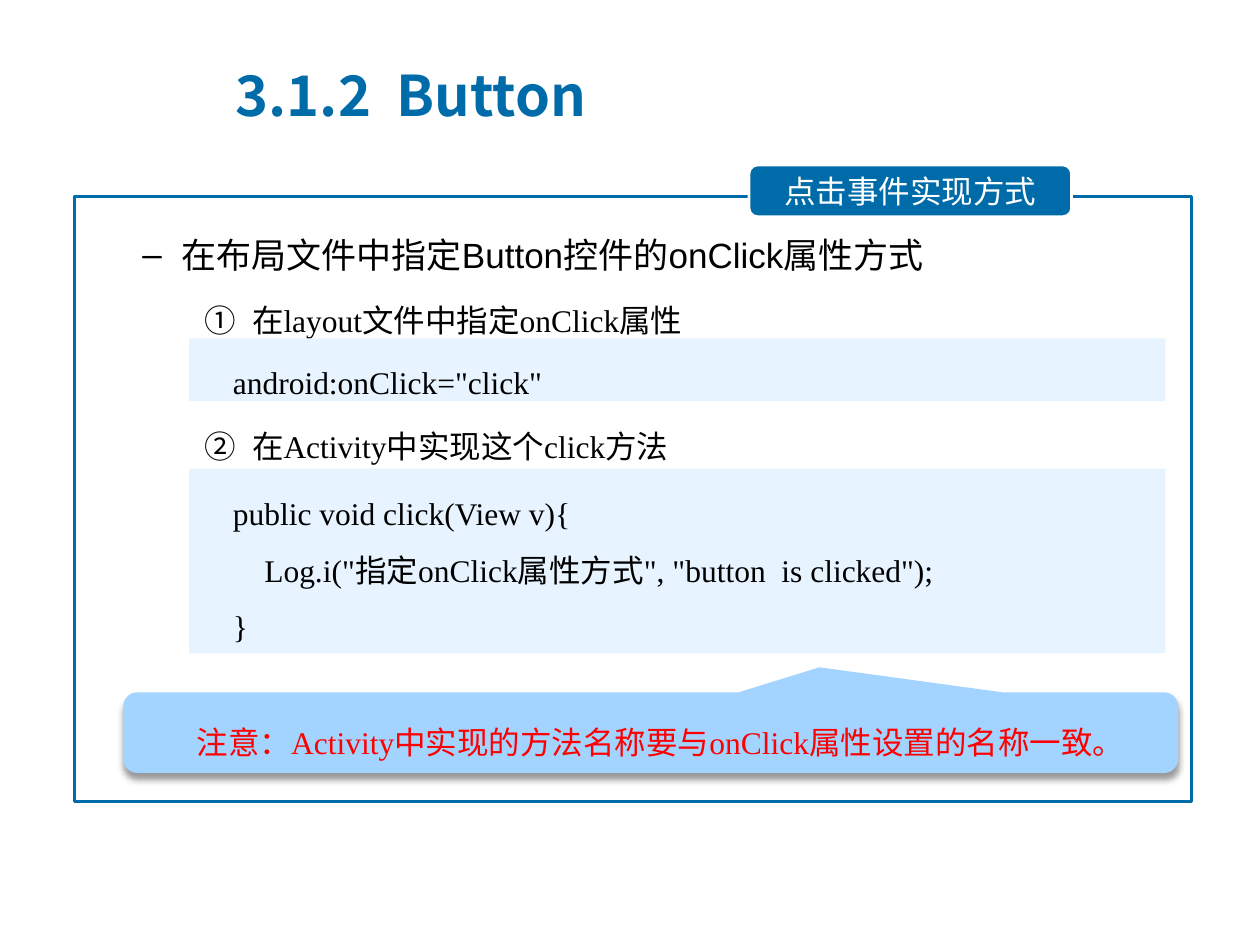
from dataclasses import dataclass

from lxml import etree
from pptx import Presentation, util as u
from pptx.dml.color import RGBColor
from pptx.enum import shapes, text
from pptx.oxml import ns

CELL = 0.25  # inches: the slide is a grid of 40 columns and 30 rows
KIND = shapes.MSO_SHAPE
TOP, MID = text.MSO_ANCHOR.TOP, text.MSO_ANCHOR.MIDDLE
LEFT, MIDST = text.PP_ALIGN.LEFT, text.PP_ALIGN.CENTER


@dataclass(frozen=True)
class Theme:
    blue: str = "006BA9"
    pale: str = "E7F4FF"
    sky: str = "A3D3FF"
    red: str = "FF0000"
    white: str = "FFFFFF"
    black: str = "000000"
    head: int = 32
    lead: int = 20
    base: int = 18
    sans: str = "Arial"
    serif: str = "Times New Roman"
    cjk: str = "Noto Sans CJK SC"


T = Theme()


def part(box, col, row, wide, high):
    """Return a box placed in grid cells from the corner of another."""
    return box[0] + col, box[1] + row, wide, high


def apply(obj, **vals):
    for key, val in vals.items():
        setattr(obj, key, val)


def place(shape, box):
    names = ("left", "top", "width", "height")
    apply(shape, **{n: u.Inches(v * CELL) for n, v in zip(names, box)})


def tag(parent, name, **atts):
    node = etree.SubElement(parent, ns.qn(name))
    for key, val in atts.items():
        node.set(key, str(val))
    return node


def write(para, words, size=T.base, face=T.serif, tint=T.black, bold=False):
    run = para.add_run()
    run.text = words
    apply(run.font, size=u.Pt(size), name=face, bold=bold)
    run.font.color.rgb = RGBColor.from_string(tint)
    tag(run.font._element, "a:ea", typeface=T.cjk)


def shape(slide, kind, box, fill=None, line=None):
    item = slide.shapes.add_shape(kind, 0, 0, 0, 0)
    place(item, box)
    item.shadow.inherit = False
    if fill:
        item.fill.solid()
        item.fill.fore_color.rgb = RGBColor.from_string(fill)
    else:
        item.fill.background()
    if line:
        item.line.color.rgb = RGBColor.from_string(line)
        item.line.width = u.Pt(1.5)
    else:
        item.line.fill.background()
    return item


def title(slide, box):
    item = slide.shapes.title
    place(item, box)
    apply(item.text_frame, vertical_anchor=MID, word_wrap=True,
          auto_size=text.MSO_AUTO_SIZE.NONE)
    para = item.text_frame.paragraphs[0]
    para.alignment = LEFT
    write(para, "3.1.2  Button", T.head, T.cjk, T.blue, True)


def point(para, level, left, hang, gap, bullet, **atts):
    """Give a list paragraph its level, indents, spacing and bullet."""
    apply(para, level=level, line_spacing=1.5, space_before=u.Pt(gap))
    props = para._p.get_or_add_pPr()
    props.set("marL", str(u.Inches(left)))
    props.set("indent", str(-u.Inches(hang)))
    tag(props, bullet, **atts)


def steps(slide, box):
    item = slide.placeholders[1]
    place(item, box)
    frame = item.text_frame
    apply(frame, word_wrap=True, vertical_anchor=TOP,
          auto_size=text.MSO_AUTO_SIZE.NONE)
    lead = frame.paragraphs[0]
    point(lead, 1, 0.81, 0.31, 0, "a:buChar", char="–")
    write(lead, "在布局文件中指定Button控件的onClick属性", T.lead, T.sans)
    write(lead, "方式", T.lead)
    rows = [("在layout文件中指定onClick属性", 4),
            ("在Activity中实现这个click方法", 39.5)]
    for num, (words, gap) in enumerate(rows, 1):
        para = frame.add_paragraph()
        point(para, 2, 1.37, 0.38, gap, "a:buAutoNum",
              type="circleNumDbPlain", startAt=num)
        write(para, words)


def code(slide, box, lines):
    frame = shape(slide, KIND.RECTANGLE, box, T.pale).text_frame
    apply(frame, vertical_anchor=TOP, word_wrap=True)
    for num, line in enumerate(lines):
        para = frame.add_paragraph() if num else frame.paragraphs[0]
        apply(para, alignment=LEFT, line_spacing=1.5)
        write(para, line)


def label(slide, box):
    item = shape(slide, KIND.ROUNDED_RECTANGLE, box, T.blue, T.white)
    frame = item.text_frame
    apply(frame, vertical_anchor=MID, word_wrap=True,
          margin_top=u.Inches(0.06), margin_bottom=u.Inches(0.06))
    para = frame.paragraphs[0]
    para.alignment = MIDST
    write(para, "点击事件实现方式", face=T.cjk, tint=T.white)


def note(slide, box):
    item = shape(slide, KIND.ROUNDED_RECTANGULAR_CALLOUT, box, T.sky)
    for num, val in enumerate((0.16, -0.81, 0.17)):
        item.adjustments[num] = val
    glow = item._element.spPr.find(ns.qn("a:effectLst"))
    drop = tag(glow, "a:outerShdw", blurRad=u.Pt(4), dist=u.Pt(3),
               dir=5400000, rotWithShape=0)
    tag(tag(drop, "a:srgbClr", val=T.black), "a:alpha", val=40000)
    frame = item.text_frame
    apply(frame, vertical_anchor=MID, word_wrap=True,
          margin_left=u.Inches(0.55), margin_right=u.Inches(0.1))
    para = frame.paragraphs[0]
    apply(para, alignment=LEFT, line_spacing=1.5)
    write(para, "注意：Activity中实现的方法名称要与onClick属性设置的名称一致",
          tint=T.red)
    write(para, "。", face="Calibri", tint=T.red)


def panel(slide, box):
    shape(slide, KIND.RECTANGLE, box, line=T.blue)
    label(slide, part(box, 21.42, -1, 10.24, 1.64))
    steps(slide, part(box, -0.24, 0.3, 34.88, 13.76))
    code(slide, part(box, 3.64, 4.5, 31, 2),
         ['    android:onClick="click"'])
    code(slide, part(box, 3.64, 8.64, 31, 5.86),
         ["    public void click(View v){",
          '        Log.i("指定onClick属性方式", "button  is clicked");',
          "    }"])
    note(slide, part(box, 1.56, 15.74, 33.48, 2.56))


def main():
    deck = Presentation()
    apply(deck, slide_width=u.Inches(10), slide_height=u.Inches(7.5))
    slide = deck.slides.add_slide(deck.slide_layouts[1])
    title(slide, (7.08, 1.76, 30.88, 2.44))
    panel(slide, (2.36, 6.24, 35.46, 19.2))
    deck.save("out.pptx")


if __name__ == "__main__":
    main()
